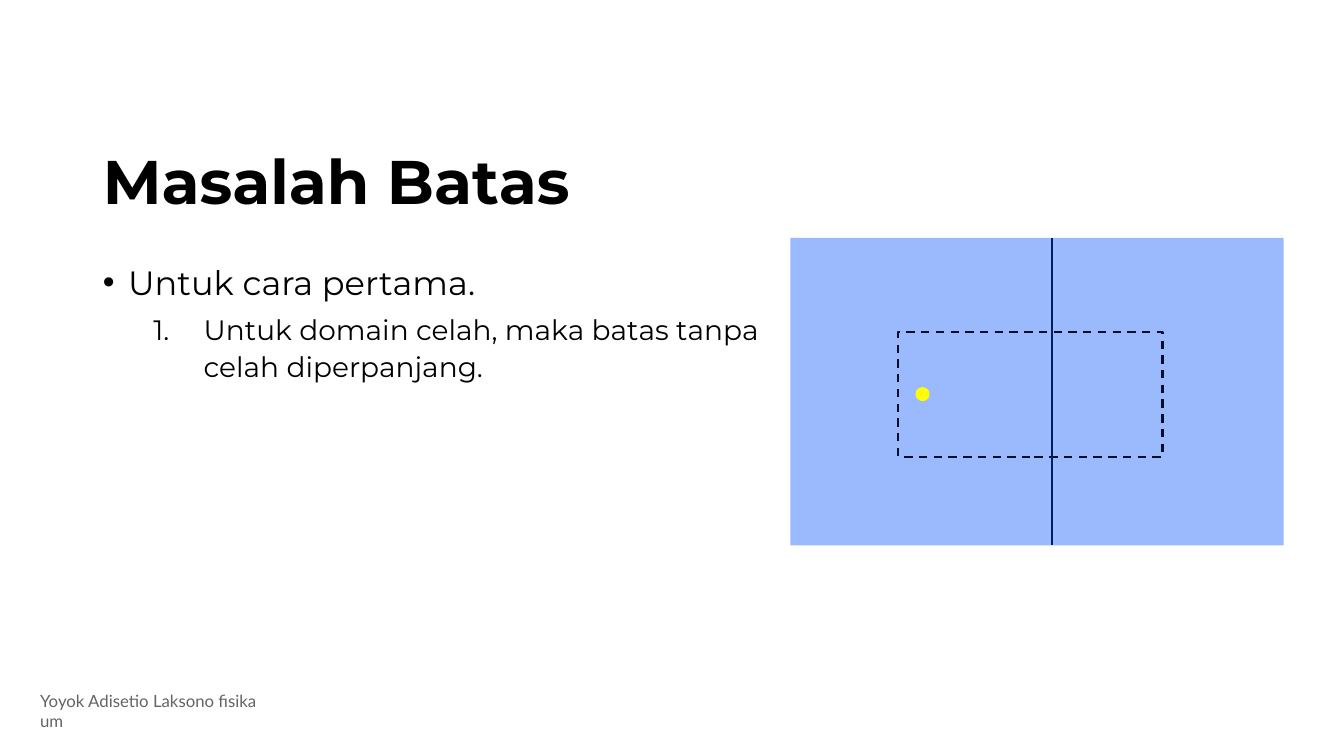
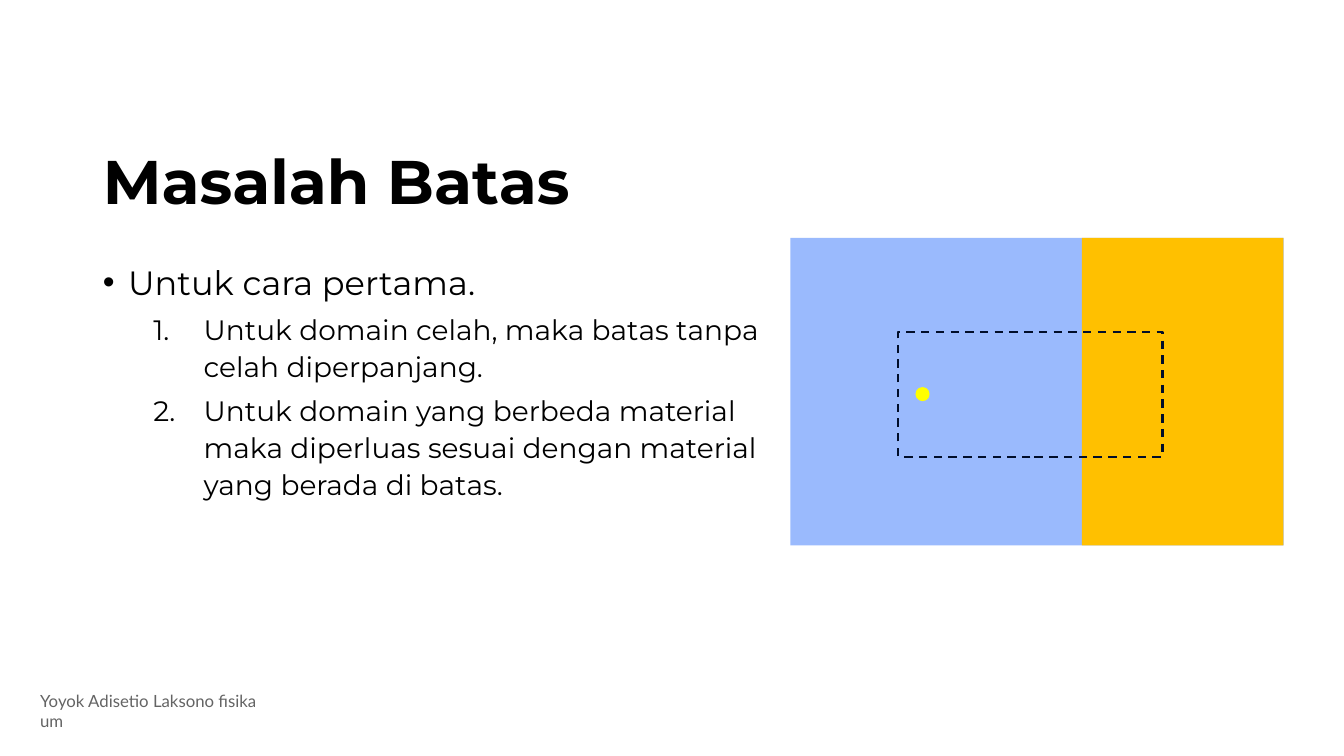
"""Builds two slides on the boundary problem of a finite domain."""
import dataclasses

import pptx
import pptx.dml.color
import pptx.enum.dml
import pptx.enum.shapes
import pptx.enum.text
import pptx.oxml.ns
import pptx.util
from lxml import etree

Inches = pptx.util.Inches
Pt = pptx.util.Pt
Shapes = pptx.enum.shapes.MSO_SHAPE


@dataclasses.dataclass(frozen=True)
class Theme:
    """Colours, fonts and type sizes of the slides."""
    ink: str = "000000"
    muted: str = "646464"
    domain: str = "9ABAFD"
    material: str = "FFC000"
    source: str = "FFFF00"
    window: str = "010E2A"
    slit: str = "022060"
    text_font: str = "Montserrat"
    footer_font: str = "Lato"
    title_size: int = 44
    lead_size: int = 24
    step_size: int = 20
    footer_size: int = 12
    line_width: float = 1.5


@dataclasses.dataclass(frozen=True)
class Box:
    """A rectangle in inches."""
    left: float
    top: float
    width: float
    height: float

    def inside(self, left, top, width, height):
        """Return a box whose offset is measured from this one."""
        return Box(self.left + left, self.top + top, width, height)

    def lengths(self):
        """Return left, top, width and height as lengths."""
        return [Inches(value) for value in dataclasses.astuple(self)]


THEME = Theme()
SLIDE_SIZE = (13.33, 7.5)
TITLE_BOX = Box(0.92, 1.31, 11.5, 1.05)
BODY_BOX = Box(0.92, 2.51, 7.14, 4.36)
FOOTER_BOX = Box(0.3, 6.8, 2.6, 0.5)
DIAGRAM_BOX = Box(7.84, 2.36, 4.89, 3.05)
TITLE = "Masalah Batas"
FOOTER = "Yoyok Adisetio Laksono fisika um"
LEAD = "Untuk cara pertama."
STEPS = [
    "Untuk domain celah, maka batas tanpa celah diperpanjang.",
    "Untuk domain yang berbeda material maka diperluas sesuai dengan "
    "material yang berada di batas.",
]


def colour(value):
    """Return a colour from its hexadecimal value."""
    return pptx.dml.color.RGBColor.from_string(value)


def move(shape, box):
    """Place a shape in a box."""
    shape.left, shape.top, shape.width, shape.height = box.lengths()


def add_run(paragraph, text, font, size, value, bold=False):
    """Add one formatted run to a paragraph."""
    run = paragraph.add_run()
    run.text = text
    run.font.name = font
    run.font.size = Pt(size)
    run.font.bold = bold
    run.font.color.rgb = colour(value)


def set_bullet(paragraph, indent, hanging, *marks):
    """Give a paragraph its indents and bullet elements."""
    properties = paragraph._p.get_or_add_pPr()
    properties.set("marL", str(Inches(indent)))
    properties.set("indent", str(-Inches(hanging)))
    for tag, attributes in marks:
        etree.SubElement(properties, pptx.oxml.ns.qn(tag), attributes)


def place_title(slide, box):
    """Fill the title placeholder."""
    title = slide.shapes.title
    move(title, box)
    frame = title.text_frame
    frame.auto_size = pptx.enum.text.MSO_AUTO_SIZE.NONE
    frame.vertical_anchor = pptx.enum.text.MSO_ANCHOR.MIDDLE
    paragraph = frame.paragraphs[0]
    paragraph.alignment = pptx.enum.text.PP_ALIGN.LEFT
    paragraph.line_spacing = 0.9
    add_run(paragraph, TITLE, THEME.text_font, THEME.title_size, THEME.ink, True)


def place_body(slide, box, steps):
    """Fill the body placeholder with the lead and its numbered steps."""
    body = slide.placeholders[1]
    move(body, box)
    frame = body.text_frame
    frame.auto_size = pptx.enum.text.MSO_AUTO_SIZE.NONE
    lead = frame.paragraphs[0]
    set_bullet(lead, 0.25, 0.25, ("a:buChar", {"char": "•"}))
    lead.line_spacing = 1.1
    lead.space_before = Pt(0)
    add_run(lead, LEAD, THEME.text_font, THEME.lead_size, THEME.ink)
    for text in steps:
        step = frame.add_paragraph()
        step.level = 1
        set_bullet(step, 1, 0.5, ("a:buFontTx", {}),
                   ("a:buAutoNum", {"type": "arabicPeriod"}))
        step.line_spacing = 1.1
        step.space_before = Pt(5)
        add_run(step, text, THEME.text_font, THEME.step_size, THEME.ink)


def place_footer(slide, box):
    """Add the author line."""
    frame = slide.shapes.add_textbox(*box.lengths()).text_frame
    frame.word_wrap = True
    add_run(frame.paragraphs[0], FOOTER, THEME.footer_font,
            THEME.footer_size, THEME.muted)


def add_area(shapes, kind, box, value):
    """Add a filled shape without outline."""
    shape = shapes.add_shape(kind, *box.lengths())
    shape.shadow.inherit = False
    shape.fill.solid()
    shape.fill.fore_color.rgb = colour(value)
    shape.line.fill.background()


def add_window(shapes, box):
    """Add the dashed outline of the computed region."""
    window = shapes.add_shape(Shapes.RECTANGLE, *box.lengths())
    window.shadow.inherit = False
    window.fill.background()
    window.line.color.rgb = colour(THEME.window)
    window.line.width = Pt(THEME.line_width)
    window.line.dash_style = pptx.enum.dml.MSO_LINE.DASH


def add_slit(shapes, box):
    """Add the vertical slit line along the left edge of a box."""
    left, top, _, height = box.lengths()
    slit = shapes.add_connector(pptx.enum.shapes.MSO_CONNECTOR.STRAIGHT,
                                left, top, left, top + height)
    slit.line.color.rgb = colour(THEME.slit)
    slit.line.width = Pt(THEME.line_width)
    etree.SubElement(slit._element.spPr, pptx.oxml.ns.qn("a:effectLst"))


def place_diagram(slide, box, two_materials):
    """Draw the domain, split by a slit or by a second material."""
    shapes = slide.shapes.add_group_shape().shapes
    add_area(shapes, Shapes.RECTANGLE, box, THEME.domain)
    if two_materials:
        width = 2
        material = box.inside(box.width - width, 0, width, box.height)
        add_area(shapes, Shapes.RECTANGLE, material, THEME.material)
    add_window(shapes, box.inside(1.07, 0.93, 2.62, 1.24))
    add_area(shapes, Shapes.FLOWCHART_CONNECTOR,
             box.inside(1.24, 1.48, 0.14, 0.14), THEME.source)
    if not two_materials:
        add_slit(shapes, box.inside(2.59, 0, 0, box.height))


def build_slide(presentation, steps, two_materials):
    """Add one slide with its title, list, footer and diagram."""
    slide = presentation.slides.add_slide(presentation.slide_layouts[1])
    place_title(slide, TITLE_BOX)
    place_body(slide, BODY_BOX, steps)
    place_footer(slide, FOOTER_BOX)
    place_diagram(slide, DIAGRAM_BOX, two_materials)


def main():
    """Build and save the presentation."""
    presentation = pptx.Presentation()
    presentation.slide_width, presentation.slide_height = map(Inches, SLIDE_SIZE)
    build_slide(presentation, STEPS[:1], two_materials=False)
    build_slide(presentation, STEPS, two_materials=True)
    presentation.save("out.pptx")


if __name__ == "__main__":
    main()
